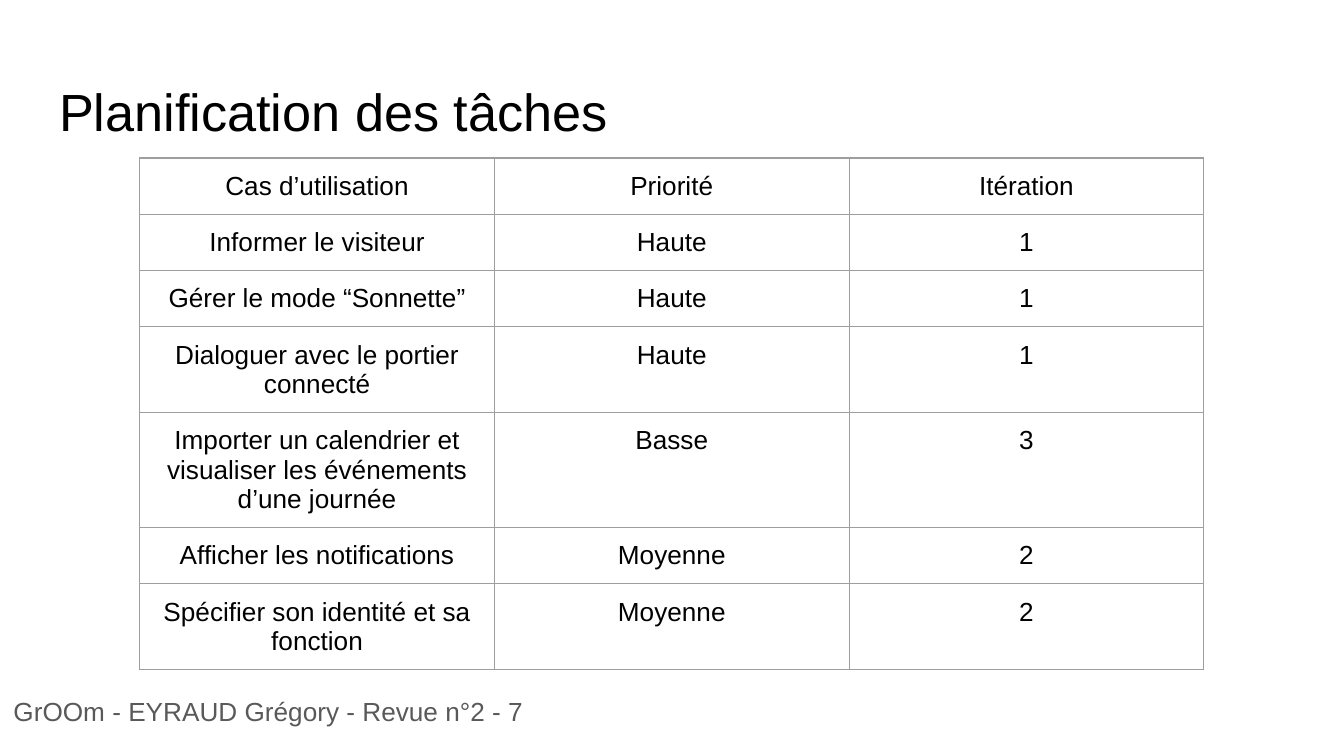
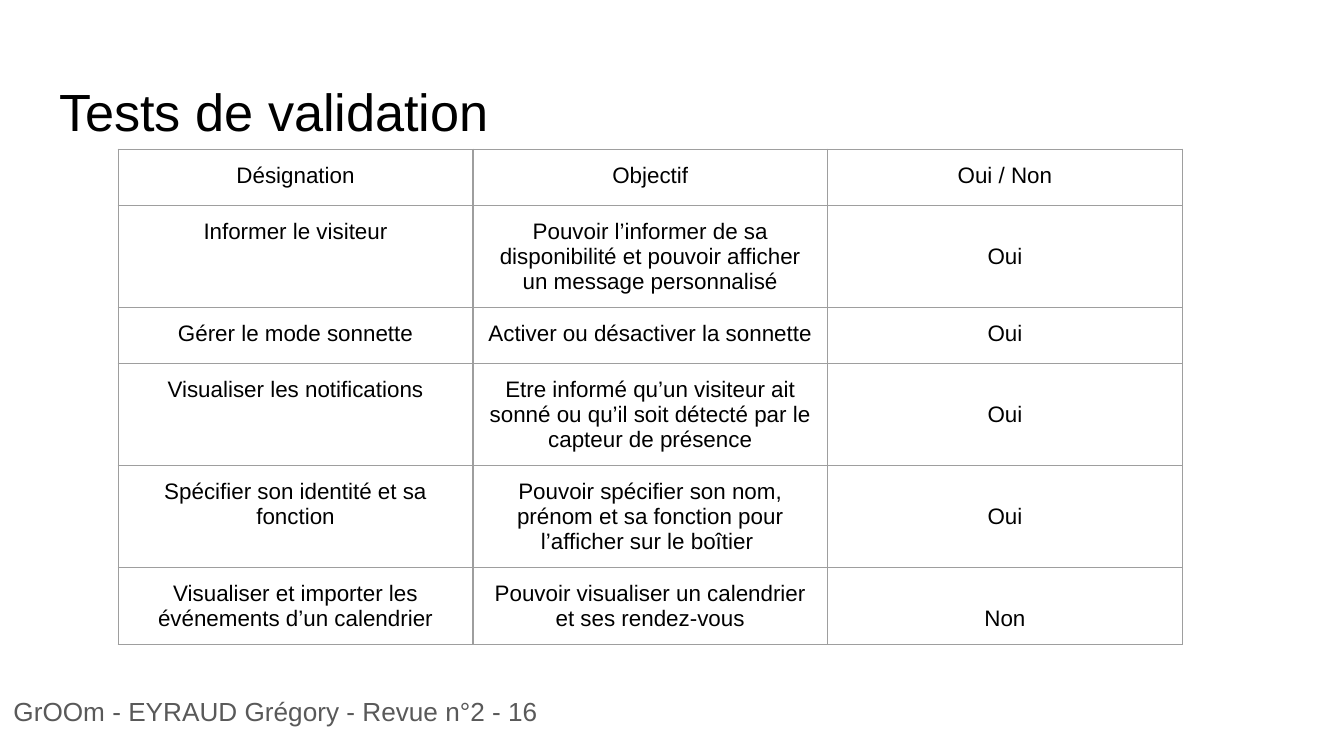
from dataclasses import dataclass, field

from lxml.etree import SubElement
from pptx import Presentation
from pptx.dml.color import RGBColor
from pptx.enum.text import MSO_ANCHOR as Anchor, MSO_AUTO_SIZE as AutoSize, PP_ALIGN as Align
from pptx.oxml.ns import qn
from pptx.util import Inches, Pt

WIDTH = Inches(10)
HEIGHT = WIDTH * 9 // 16
COL, ROW = WIDTH / 100, HEIGHT / 100
FONT = "Arial"
BLACK, GREY, BORDER = "000000", "595959", "9E9E9E"
BORDER_WIDTH = Pt(0.75)
TABLE_COL, TABLE_ROW = 26.39, 7.4
FOOTER = "GrOOm - EYRAUD Grégory - Revue n°2 - {}"
MARGINS = dict.fromkeys(
    ("margin_left", "margin_right", "margin_top", "margin_bottom"), round(COL))
PARAGRAPH = {"space_before": Pt(0), "space_after": Pt(0), "line_spacing": 1.0}


@dataclass(frozen=True)
class Box:
    col: float
    row: float
    cols: float
    rows: float

    def emu(self) -> dict[str, int]:
        return {"left": round(self.col * COL), "top": round(self.row * ROW),
                "width": round(self.cols * COL), "height": round(self.rows * ROW)}


@dataclass(frozen=True)
class TextStyle:
    size: int
    color: str
    align: Align = Align.LEFT
    anchor: Anchor = Anchor.TOP


@dataclass(frozen=True)
class TableSlide:
    title: str
    number: int
    col: float
    row: float
    size: int
    rows: list[tuple[str, ...]]
    answer_anchors: dict[int, Anchor] = field(default_factory=dict)


TITLE_BOX = Box(3.4, 8.7, 93.2, 11.2)
FOOTER_BOX = Box(0, 88.2, 65.6, 11.8)
TITLE_STYLE = TextStyle(28, BLACK)
FOOTER_STYLE = TextStyle(14, GREY, anchor=Anchor.MIDDLE)

SLIDES = [
    TableSlide("Planification des tâches", 7, 10.4, 20.9, 14, [
        ("Cas d’utilisation", "Priorité", "Itération"),
        ("Informer le visiteur", "Haute", "1"),
        ("Gérer le mode “Sonnette”", "Haute", "1"),
        ("Dialoguer avec le portier connecté", "Haute", "1"),
        ("Importer un calendrier et visualiser les événements d’une journée", "Basse", "3"),
        ("Afficher les notifications", "Moyenne", "2"),
        ("Spécifier son identité et sa fonction", "Moyenne", "2"),
    ]),
    TableSlide("Tests de validation", 16, 8.8, 19.75, 12, [
        ("Désignation", "Objectif", "Oui / Non"),
        ("Informer le visiteur",
         "Pouvoir l’informer de sa disponibilité et pouvoir afficher un message personnalisé",
         "Oui"),
        ("Gérer le mode sonnette", "Activer ou désactiver la sonnette", "Oui"),
        ("Visualiser les notifications",
         "Etre informé qu’un visiteur ait sonné ou qu’il soit détecté par le capteur de présence",
         "Oui"),
        ("Spécifier son identité et sa fonction",
         "Pouvoir spécifier son nom, prénom et sa fonction pour l’afficher sur le boîtier ",
         "Oui"),
        ("Visualiser et importer les événements d’un calendrier",
         "Pouvoir visualiser un calendrier et ses rendez-vous", "Non"),
    ], {1: Anchor.MIDDLE, 3: Anchor.MIDDLE, 4: Anchor.MIDDLE, 5: Anchor.BOTTOM}),
]


def apply(target, values: dict) -> None:
    for name, value in values.items():
        setattr(target, name, value)


def set_color(color_format, value: str) -> None:
    color_format.rgb = RGBColor.from_string(value)


def write(tf, text: str, style: TextStyle) -> None:
    tf.text = text
    p = tf.paragraphs[0]
    pPr = p._p.get_or_add_pPr()
    apply(p, {**PARAGRAPH, "alignment": style.align})
    pPr.set("marL", "0")
    pPr.set("indent", "0")
    SubElement(pPr, qn("a:buNone"))
    r = p.runs[0]
    apply(r.font, {"name": FONT, "size": Pt(style.size), "bold": False})
    set_color(r.font.color, style.color)


def fill_placeholder(sp, text: str, box: Box, style: TextStyle) -> None:
    apply(sp, box.emu())
    apply(sp.text_frame, {**MARGINS, "word_wrap": True, "auto_size": AutoSize.NONE,
                          "vertical_anchor": style.anchor})
    write(sp.text_frame, text, style)


def add_borders(cell) -> None:
    tcPr = cell._tc.get_or_add_tcPr()
    for side in ("lnL", "lnR", "lnT", "lnB"):
        ln = SubElement(tcPr, qn(f"a:{side}"), w=str(BORDER_WIDTH))
        solid = SubElement(ln, qn("a:solidFill"))
        SubElement(solid, qn("a:srgbClr"), val=BORDER)


def draw_table(s, content: TableSlide) -> None:
    n_rows, n_cols = len(content.rows), len(content.rows[0])
    box = Box(content.col, content.row, n_cols * TABLE_COL, n_rows * TABLE_ROW)
    table = s.shapes.add_table(n_rows, n_cols, **box.emu()).table
    apply(table, {"first_row": False, "horz_banding": False})
    style = TextStyle(content.size, BLACK, Align.CENTER)
    for i, row in enumerate(content.rows):
        for j, text in enumerate(row):
            cell = table.cell(i, j)
            anchor = content.answer_anchors.get(i, Anchor.TOP) if j == n_cols - 1 else Anchor.TOP
            apply(cell, {**MARGINS, "vertical_anchor": anchor})
            add_borders(cell)
            cell.fill.background()
            write(cell.text_frame, text, style)


def draw_slide(prs, content: TableSlide) -> None:
    s = prs.slides.add_slide(prs.slide_layouts[1])
    fill_placeholder(s.shapes.title, content.title, TITLE_BOX, TITLE_STYLE)
    draw_table(s, content)
    fill_placeholder(s.placeholders[1], FOOTER.format(content.number), FOOTER_BOX, FOOTER_STYLE)


def main() -> None:
    prs = Presentation()
    apply(prs, {"slide_width": WIDTH, "slide_height": HEIGHT})
    for content in SLIDES:
        draw_slide(prs, content)
    prs.save("out.pptx")


if __name__ == "__main__":
    main()
